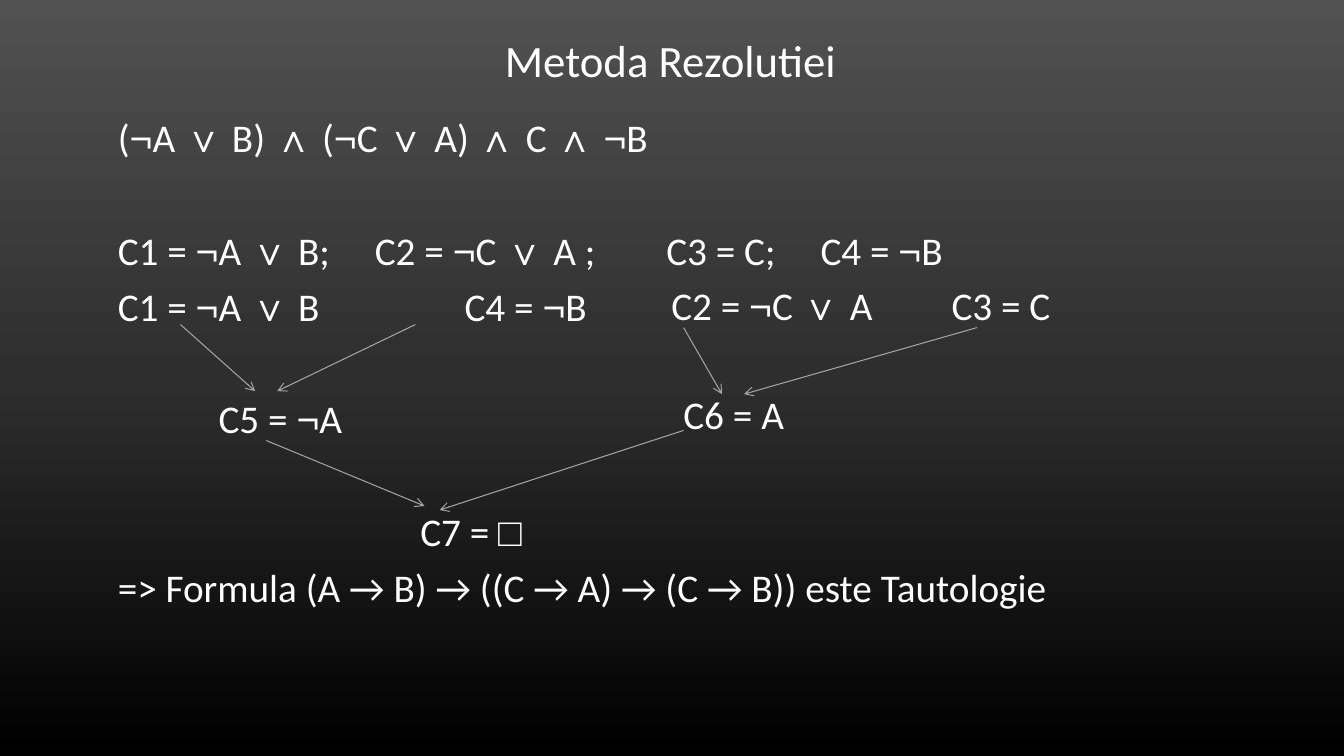
from itertools import groupby

from pptx import Presentation
from pptx.dml.color import RGBColor
from pptx.enum.shapes import MSO_CONNECTOR
from pptx.enum.text import MSO_ANCHOR, PP_ALIGN
from pptx.oxml.ns import qn
from pptx.util import Inches, Pt
from lxml import etree

STRAIGHT = MSO_CONNECTOR.STRAIGHT
TOP = MSO_ANCHOR.TOP
CENTER = PP_ALIGN.CENTER

COLORS = {"text": "FFFFFF", "arrow": "A5A5A5"}
BACKGROUND_STOPS = [(0, "515151"), (50, "2E2E2E"), (100, "000000")]
LOGIC_SYMBOLS = "¬∨∧□"
BODY_FONT, SYMBOL_FONT = "Calibri", "Arial"
TITLE_SIZE, CLAUSE_SIZE = 32, 28

# Lines of the proof: text, space before (pt), left indent, tab stops (inches)
PROOF_LINES = [
    ("(¬A ∨ B) ∧ (¬C ∨ A) ∧ C ∧ ¬B", 10, 0, []),
    ("C1 = ¬A ∨ B;\tC2 = ¬C ∨ A ;\tC3 = C;\tC4 = ¬B", 50, 0, [2.55, 5.44, 6.97]),
    ("C1 = ¬A ∨ B\tC4 = ¬B", 10, 0, [3.44]),
    ("C5 = ¬A", 50, 1, []),
    ("C7 = □", 50, 3, []),
    ("=> Formula (A → B) → ((C → A) → (C → B)) este Tautologie", 10, 0, []),
]
RIGHT_BRANCH_LINES = [
    ("C2 = ¬C ∨ A\tC3 = C", 0, 0, [2.78]),
    ("C6 = A", 44, 0.12, []),
]

# Resolution steps: each arrow runs from a parent clause to its resolvent
RESOLUTION_ARROWS = [
    ((1.79, 3.22), (2.53, 3.88)),
    ((4.12, 3.22), (2.75, 3.88)),
    ((6.78, 3.25), (7.16, 3.91)),
    ((9.69, 3.25), (7.38, 3.91)),
    ((2.64, 4.37), (4.21, 5.02)),
    ((6.78, 4.27), (4.36, 5.06)),
]


def set_background(slide):
    fill = slide.background.fill
    fill.gradient()
    fill.gradient_angle = 270
    stop_list = slide.element.find(".//" + qn("a:gsLst"))
    for stop in list(stop_list):
        stop_list.remove(stop)
    for percent, color in BACKGROUND_STOPS:
        stop = etree.SubElement(stop_list, qn("a:gs"), pos=str(percent * 1000))
        etree.SubElement(stop, qn("a:srgbClr"), val=color)


def format_run(run, font_name, size):
    run.font.name = font_name
    run.font.size = Pt(size)
    run.font.color.rgb = RGBColor.from_string(COLORS["text"])


def add_title(slide, text):
    title = slide.shapes.title
    title.left, title.top = Inches(0.97), Inches(0.27)
    title.width, title.height = Inches(11.36), Inches(0.64)
    frame = title.text_frame
    frame.text = text
    frame.vertical_anchor = TOP
    frame.paragraphs[0].alignment = CENTER
    format_run(frame.paragraphs[0].runs[0], BODY_FONT, TITLE_SIZE)


def set_indent_and_tabs(paragraph, indent, tabs):
    properties = paragraph._p.get_or_add_pPr()
    properties.set("marL", str(Inches(indent)))
    if tabs:
        tab_list = etree.SubElement(properties, qn("a:tabLst"))
        for position in tabs:
            etree.SubElement(tab_list, qn("a:tab"),
                             pos=str(Inches(position)), algn="l")


def add_clauses(slide, left, top, width, height, lines, line_spacing):
    box = slide.shapes.add_textbox(Inches(left), Inches(top),
                                   Inches(width), Inches(height))
    frame = box.text_frame
    frame.word_wrap = True
    for index, (text, space_before, indent, tabs) in enumerate(lines):
        paragraph = frame.add_paragraph() if index else frame.paragraphs[0]
        paragraph.line_spacing = line_spacing
        paragraph.space_before = Pt(space_before)
        set_indent_and_tabs(paragraph, indent, tabs)
        # Logic symbols get their own font
        for is_symbol, part in groupby(text, lambda char: char in LOGIC_SYMBOLS):
            run = paragraph.add_run()
            run.text = "".join(part)
            format_run(run, SYMBOL_FONT if is_symbol else BODY_FONT, CLAUSE_SIZE)


def add_arrow(slide, start, end):
    arrow = slide.shapes.add_connector(STRAIGHT, *map(Inches, start + end))
    arrow.line.color.rgb = RGBColor.from_string(COLORS["arrow"])
    arrow.line.width = Pt(0.75)
    etree.SubElement(arrow.line._get_or_add_ln(), qn("a:tailEnd"), type="arrow")
    etree.SubElement(arrow._element.spPr, qn("a:effectLst"))


def main():
    presentation = Presentation()
    presentation.slide_width = Inches(13.33)
    presentation.slide_height = Inches(7.5)
    slide = presentation.slides.add_slide(presentation.slide_layouts[5])
    set_background(slide)

    # Title and clauses
    add_title(slide, "Metoda Rezolutiei")
    add_clauses(slide, 1.07, 1.13, 10.94, 5.73, PROOF_LINES, 0.9)
    add_clauses(slide, 6.56, 2.74, 5.5, 2.49, RIGHT_BRANCH_LINES, 1.0)

    # Resolution tree
    for start, end in RESOLUTION_ARROWS:
        add_arrow(slide, start, end)

    presentation.save("out.pptx")


main()
